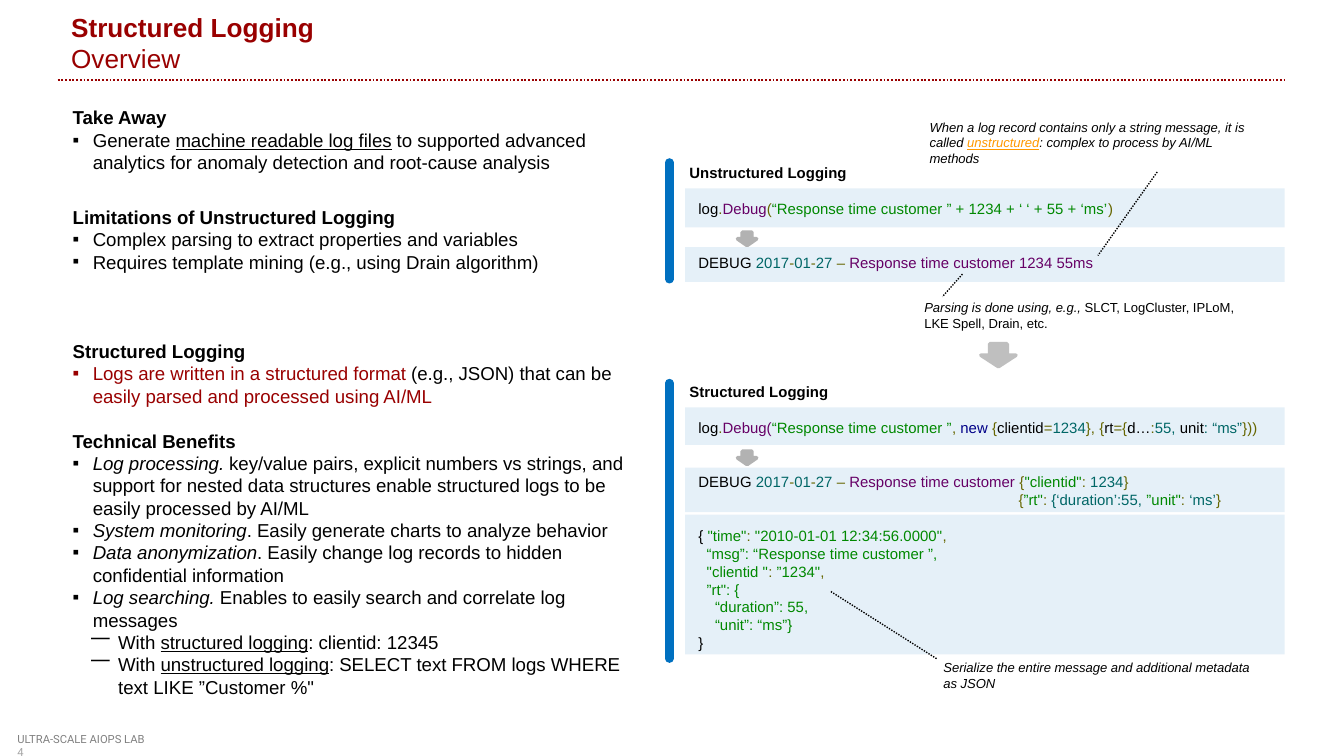
import pptx
import pptx.dml.color
import pptx.enum.dml
import pptx.enum.shapes
import pptx.enum.text
import pptx.oxml
import pptx.oxml.ns
import pptx.util
from pptx.util import Cm, Pt

HUE = {"red": "990000", "black": "000000", "blue": "0070C0", "olive": "666600",
       "plum": "660066", "green": "008800", "teal": "006666", "navy": "000088",
       "amber": "FF9900", "gray": "808080", "pale": "A6A6A6",
       "small": "B2B2B2", "large": "BFBFBF"}
MARK = {"bold": {"bold": True}, "ital": {"italic": True}, "line": {"underline": True}}

# Paragraph kinds: level, left margin, hanging indent, bullet
KIND = {"plain": (0, 0, 0, None), "deep": (0, 6.05, 0, None),
        "item": (0, 0.38, -0.38, "▪"), "sub": (1, 0.86, -0.51, "⎻")}

# Each paragraph: kind, blank lines above, then runs of (marks, text)
TITLE = [("plain", 0, ("red bold", "Structured Logging")),
         ("plain", 0, ("red", "Overview"))]
FOOT = [("plain", 0, ("gray", "ULTRA-SCALE AIOPS LAB")), ("plain", 0, ("pale", "4"))]
GOAL = [
    ("plain", 0, ("bold", "Take Away")),
    ("item", 0, ("", "Generate "), ("line", "machine readable log files"),
     ("", " to supported advanced analytics for anomaly detection and root-cause analysis")),
]
LIST = [
    ("plain", 0, ("bold", "Limitations of Unstructured Logging")),
    ("item", 0, ("", "Complex parsing to extract properties and variables")),
    ("item", 0, ("", "Requires template mining (e.g., using Drain algorithm)")),
    ("plain", 3, ("bold", "Structured Logging")),
    ("item", 0, ("red", "Logs are written in a structured format "),
     ("", "(e.g., JSON) that can be "), ("red", "easily parsed and processed using AI/ML")),
    ("plain", 1, ("bold", "Technical Benefits")),
    ("item", 0, ("ital", "Log processing. "),
     ("", "key/value pairs, explicit numbers vs strings, and support for nested data "
          "structures enable structured logs to be easily processed by AI/ML")),
    ("item", 0, ("ital", "System monitoring"),
     ("", ". Easily generate charts to analyze behavior")),
    ("item", 0, ("ital", "Data anonymization"),
     ("", ". Easily change log records to hidden confidential information")),
    ("item", 0, ("ital", "Log searching. "),
     ("", "Enables to easily search and correlate log messages")),
    ("sub", 0, ("", "With "), ("line", "structured logging"), ("", ": clientid: 12345")),
    ("sub", 0, ("", "With "), ("line", "unstructured logging"),
     ("", ": SELECT text FROM logs WHERE text LIKE ”Customer %\"")),
]
STAMP = [("", "DEBUG "), ("teal", "2017"), ("olive", "-"), ("teal", "01"),
         ("olive", "-"), ("teal", "27 "), ("olive", "– ")]
RAW = [
    ("plain", 0, ("", "log"), ("olive", "."), ("plum", "Debug"), ("olive", "("),
     ("green", "“Response time customer ” + 1234 + ‘ ‘ + 55 + ‘ms’"), ("olive", ")")),
    ("plain", 2, *STAMP, ("plum", "Response time customer 1234 55ms")),
]
RICH = [
    ("plain", 0, ("", "log"), ("olive", "."), ("plum", "Debug("),
     ("green", "“Response time customer ”"), ("olive", ", "), ("navy", "new "),
     ("olive", "{"), ("", "clientid"), ("olive", "="), ("teal", "1234"),
     ("olive", "}, {"), ("", "rt"), ("olive", "={"), ("", "d…"), ("olive", ":"),
     ("teal", "55, "), ("", "unit"), ("teal", ": “ms”"), ("olive", "}))")),
    ("plain", 2, *STAMP, ("plum", "Response time customer "), ("olive", "{"),
     ("green", "\"clientid\""), ("olive", ":"), ("teal", " 1234"), ("olive", "}")),
    ("deep", 0, ("olive", "{"), ("green", "”rt\""), ("olive", ":"),
     ("teal", " {‘duration’:55, "), ("green", "”unit\""), ("olive", ":"),
     ("teal", " ‘ms’"), ("olive", "}")),
    ("plain", 1, ("", "{ "), ("green", "\"time\""), ("olive", ": "),
     ("green", "\"2010-01-01 12:34:56.0000\""), ("olive", ",")),
    ("plain", 0, ("green", "  “msg”: “Response time customer ”,")),
    ("plain", 0, ("green", "  \"clientid \""), ("olive", ": "),
     ("green", "”1234\""), ("olive", ",")),
    ("plain", 0, ("green", "  ”rt\": {")),
    ("plain", 0, ("green", "    “duration”: 55,")),
    ("plain", 0, ("green", "    “unit”: “ms”}")),
    ("plain", 0, ("", "}")),
]
# Notes: box, leader start and end relative to the box corner, runs
NOTES = [
    ((17.32, 2.13, 6.73, 1.14), (4.55, 1.12), (3.43, 2.7),
     [("ital", "When a log record contains only a string message, it is called\u00a0"),
      ("ital amber line", "unstructured"),
      ("ital", ": complex to process by AI/ML methods")]),
    ((17.22, 5.54, 6.73, 0.86), (0.97, -0.36), (0.59, 0.07),
     [("ital", "Parsing is done using, e.g., "),
      ("", "SLCT, LogCluster, IPLoM, LKE Spell, Drain, etc.")]),
    ((17.58, 12.34, 6.6, 0.86), (0.12, 0.11), (-1.88, -1.16),
     [("ital", "Serialize the entire message and additional metadata as JSON")]),
]


def rgb(name):
    return pptx.dml.color.RGBColor.from_string(HUE[name])


def put(item, props):
    for key, value in props.items():
        setattr(item, key, value)


def add(node, tag, **attrs):
    child = pptx.oxml.ns.qn(tag)
    child = node.makeelement(child, attrs)
    node.append(child)


def fill(shape, paras, size, font="Arial", wrap=True, anchor="TOP"):
    """Write paragraphs with a fixed pitch of 1.2 times the text size."""
    frame = shape.text_frame
    put(frame, {"auto_size": pptx.enum.text.MSO_AUTO_SIZE.NONE, "word_wrap": wrap,
                "vertical_anchor": getattr(pptx.enum.text.MSO_ANCHOR, anchor)})
    pitch = 1.2 * size
    for num, (kind, gap, *runs) in enumerate(paras):
        par = frame.add_paragraph() if num else frame.paragraphs[0]
        level, left, hang, mark = KIND[kind]
        props = par._p.get_or_add_pPr()
        props.set("marL", str(Cm(left)))
        props.set("indent", str(Cm(hang)))
        if mark:
            add(props, "a:buChar", char=mark)
        else:
            add(props, "a:buNone")
        put(par, {"level": level, "line_spacing": Pt(pitch), "space_after": Pt(0),
                  "space_before": Pt(gap * pitch),
                  "alignment": pptx.enum.text.PP_ALIGN.LEFT})
        for marks, text in runs:
            run = par.add_run()
            run.text = text
            put(run.font, {"name": font, "size": Pt(size), "bold": False})
            run.font.color.rgb = rgb("black")
            for name in marks.split():
                if name in HUE:
                    run.font.color.rgb = rgb(name)
                else:
                    put(run.font, MARK[name])


def holder(shape, box, paras, size, **more):
    put(shape, dict(zip(("left", "top", "width", "height"), map(Cm, box))))
    fill(shape, paras, size, **more)


def label(slide, box, paras, size, **more):
    shape = slide.shapes.add_textbox(*map(Cm, box))
    fill(shape, paras, size, **more)
    return shape


def rule(slide, start, end, hue, width, dots=True):
    kind = pptx.enum.shapes.MSO_CONNECTOR.STRAIGHT
    link = slide.shapes.add_connector(kind, *map(Cm, (*start, *end)))
    put(link.line, {"width": Pt(width)})
    link.line.color.rgb = rgb(hue)
    if dots:
        link.line.dash_style = pptx.enum.dml.MSO_LINE.ROUND_DOT
    else:
        link.line._get_or_add_ln().set("cap", "rnd")
    add(link._element.spPr, "a:effectLst")


def solid(slide, kind, box, hue):
    kind = getattr(pptx.enum.shapes.MSO_SHAPE, kind)
    shape = slide.shapes.add_shape(kind, *map(Cm, box))
    shape.shadow.inherit = False
    shape.fill.solid()
    shape.fill.fore_color.rgb = rgb(hue)
    return shape


def panel(slide, box):
    shape = solid(slide, "RECTANGLE", box, "blue")
    shape.line.fill.background()
    tint = shape._element.spPr.find(".//" + pptx.oxml.ns.qn("a:srgbClr"))
    add(tint, "a:alpha", val="10000")


def arrow(slide, box, hue):
    shape = solid(slide, "DOWN_ARROW", box, hue)
    shape.line.color.rgb = rgb(hue)
    shape.line.width = Pt(2)


def sample(slide, box, name, rows, code):
    """Place a side bar, a heading, tinted panels and code; rows are (offset, height)."""
    x, y, wide, high = box
    left, top = x + 0.3, y + rows[0][0]
    for down, tall in rows:
        panel(slide, (left, y + down, wide - 0.3, tall))
    rule(slide, (x, y), (x, y + high), "blue", 4.5, dots=False)
    label(slide, (x + 0.13, top - 0.6, 3.5, 0.61), [("plain", 0, ("bold", name))], 8)
    label(slide, (left, top + 0.09, wide - 0.3, high - 0.5), code, 8)
    arrow(slide, (x + 1.29, top + 0.83, 0.36, 0.25), "small")


def note(slide, box, start, end, runs):
    x, y = box[:2]
    label(slide, box, [("plain", 0, *runs)], 7)
    rule(slide, (x + start[0], y + start[1]), (x + end[0], y + end[1]), "black", 0.75)


def header(slide, box):
    x, y, wide, high = box
    holder(slide.shapes.title, box, TITLE, 14, anchor="BOTTOM")
    rule(slide, (x, y + high), (x + wide, y + high), "red", 1)


def points(slide, box):
    x, y, wide, high = box
    goal, body = list(slide.placeholders)[1:3]
    holder(goal, (x, y, 10.39, 1.55), GOAL, 10)
    holder(body, (x, y + 1.88, wide, high - 1.88), LIST, 10)


def footer(slide, box):
    shape = label(slide, box, FOOT, 6, font="Roboto", wrap=False)
    put(shape.text_frame, dict.fromkeys(
        ("margin_left", "margin_top", "margin_right", "margin_bottom"), 0))


def main():
    deck = pptx.Presentation()
    put(deck, {"slide_width": Cm(25.4), "slide_height": Cm(14.29)})
    slide = deck.slides.add_slide(deck.slide_layouts[3])
    header(slide, (1.09, 0, 23.19, 1.52))
    points(slide, (1.12, 1.88, 11.13, 11.53))
    sample(slide, (12.65, 3.07, 11.63, 2.21), "Unstructured Logging",
           [(0.49, 0.74), (1.6, 0.66)], RAW)
    arrow(slide, (18.54, 6.5, 0.66, 0.43), "large")
    sample(slide, (12.65, 7.24, 11.63, 5.21), "Structured Logging",
           [(0.46, 0.71), (1.6, 0.84), (2.49, 2.64)], RICH)
    for entry in NOTES:
        note(slide, *entry)
    footer(slide, (0.33, 13.84, 2.82, 0.25))
    deck.save("out.pptx")


if __name__ == "__main__":
    main()
